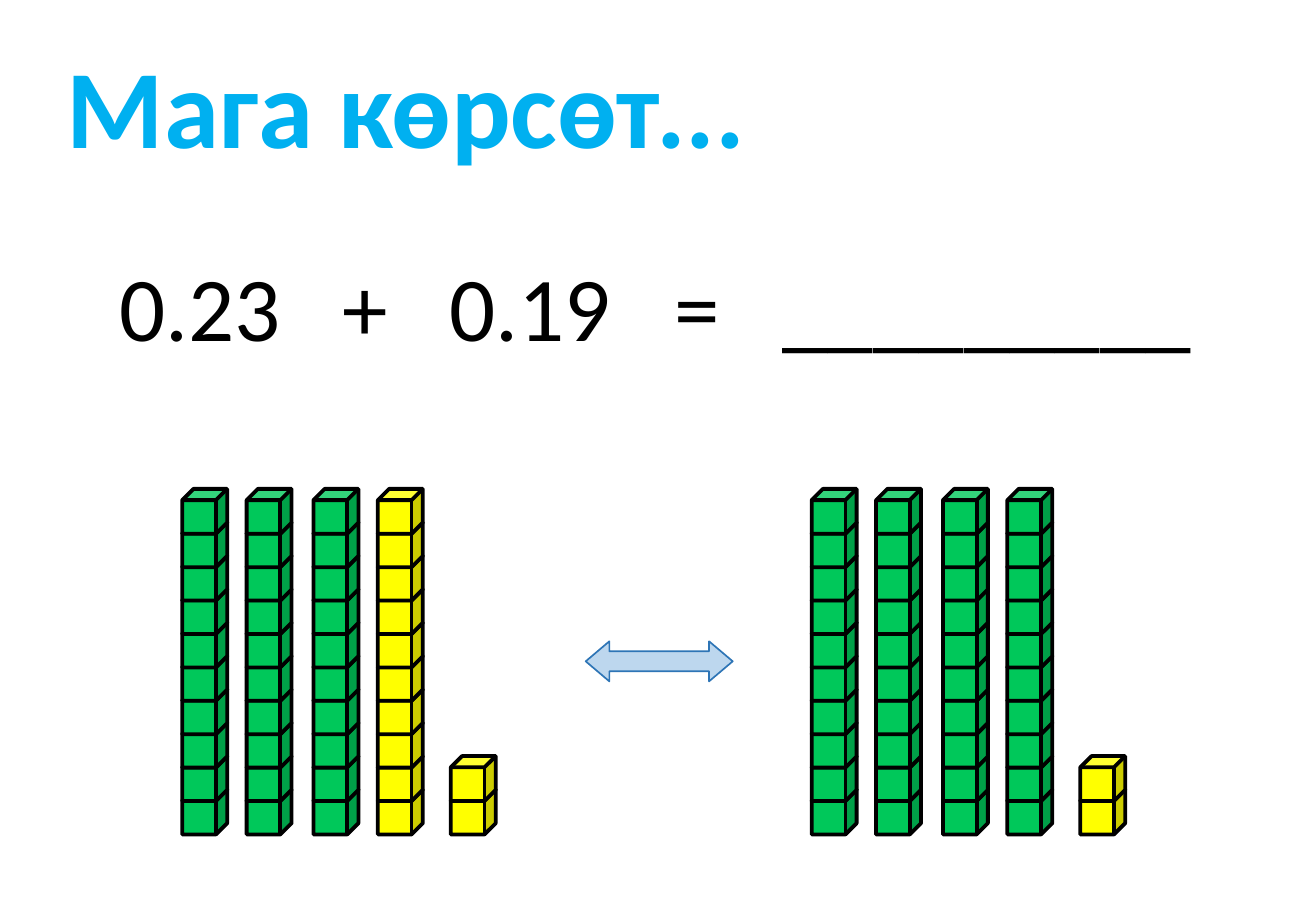
"""Build a slide that adds two decimals with base-ten blocks."""
from dataclasses import dataclass

from lxml import etree
from pptx import Presentation
from pptx import util as u
from pptx.dml.color import RGBColor
from pptx.enum import shapes, text
from pptx.oxml.ns import qn

GREEN, YELLOW, BLACK = "00C85A", "FFFF00", "000000"
CUBE_SIZE, CUBE_STEP, BASE_TOP = 0.37, 0.275, 6.5
BLOCK_SET_LEFTS = (1.5, 6.68)
EQUATION_PARTS = ("0.23", "+", "0.19", "=", "_" * 9)
EQUATION_TABS = (1.84, 2.72, 4.57, 5.46)


@dataclass
class Column:
    offset: float
    cubes: int
    colours: tuple[str, str]


COLUMNS = (
    Column(0, 10, (GREEN, GREEN)),
    Column(0.53, 10, (GREEN, GREEN)),
    Column(1.08, 10, (GREEN, GREEN)),
    Column(1.61, 10, (YELLOW, GREEN)),
    Column(2.21, 2, (YELLOW, YELLOW)),
)


def colour(value: str) -> RGBColor:
    return RGBColor.from_string(value)


def apply(target, values: dict) -> None:
    for name, value in values.items():
        setattr(target, name, value)


def place(shape, left: float, top: float, width: float, height: float) -> None:
    names = ("left", "top", "width", "height")
    apply(shape, dict(zip(names, map(u.Inches, (left, top, width, height)))))


def write(shape, words: str, size: int, hex_colour: str, bold: bool, inset: float,
          tabs: tuple[float, ...] = ()) -> None:
    frame = shape.text_frame
    frame.text = words
    apply(frame, {
        "word_wrap": True,
        "auto_size": text.MSO_AUTO_SIZE.NONE,
        "vertical_anchor": text.MSO_ANCHOR.TOP,
        "margin_left": u.Inches(inset),
        "margin_right": u.Inches(0),
        "margin_top": u.Inches(0.05),
        "margin_bottom": u.Inches(0.05),
    })
    paragraph = frame.paragraphs[0]
    paragraph.alignment = text.PP_ALIGN.LEFT
    if tabs:
        properties = paragraph._p.get_or_add_pPr()
        tab_list = etree.SubElement(properties, qn("a:tabLst"))
        for position in tabs:
            etree.SubElement(tab_list, qn("a:tab"), pos=str(u.Inches(position)), algn="l")
    font = paragraph.runs[0].font
    apply(font, {"name": "Calibri", "size": u.Pt(size), "bold": bold})
    font.color.rgb = colour(hex_colour)


def add_block(container, kind: shapes.MSO_SHAPE, box: tuple[float, float, float, float],
              fill: str, line: str, line_width: float):
    shape = container.add_shape(kind, *map(u.Inches, box))
    shape.shadow.inherit = False
    shape.fill.solid()
    shape.fill.fore_color.rgb = colour(fill)
    shape.line.color.rgb = colour(line)
    shape.line.width = u.Pt(line_width)
    return shape


def add_column(slide, left: float, cubes: int, fill: str) -> None:
    group = slide.shapes.add_group_shape()
    for level in range(cubes):
        box = (left, BASE_TOP - level * CUBE_STEP, CUBE_SIZE, CUBE_SIZE)
        add_block(group.shapes, shapes.MSO_SHAPE.CUBE, box, fill, BLACK, 2.25)


def main() -> None:
    presentation = Presentation()
    apply(presentation, {"slide_width": u.Inches(10.83), "slide_height": u.Inches(7.5)})
    slide = presentation.slides.add_slide(presentation.slide_layouts[5])

    title = slide.shapes.title
    place(title, 0.24, 0.26, 7.54, 1.21)
    write(title, "Мага көрсөт...", 66, "00B0F0", True, 0.31)

    equation = slide.shapes.add_textbox(*map(u.Inches, (0.87, 2.01, 9.1, 1.01)))
    write(equation, "\t".join(EQUATION_PARTS), 54, BLACK, False, 0.11, EQUATION_TABS)

    for side, left in enumerate(BLOCK_SET_LEFTS):
        for column in COLUMNS:
            add_column(slide, left + column.offset, column.cubes, column.colours[side])

    arrow = add_block(slide.shapes, shapes.MSO_SHAPE.LEFT_RIGHT_ARROW,
                      (4.82, 5.28, 1.21, 0.33), "BDD7EE", "2E75B6", 1)
    arrow.adjustments[0] = 0.5
    arrow.adjustments[1] = 0.59

    presentation.save("out.pptx")


if __name__ == "__main__":
    main()
